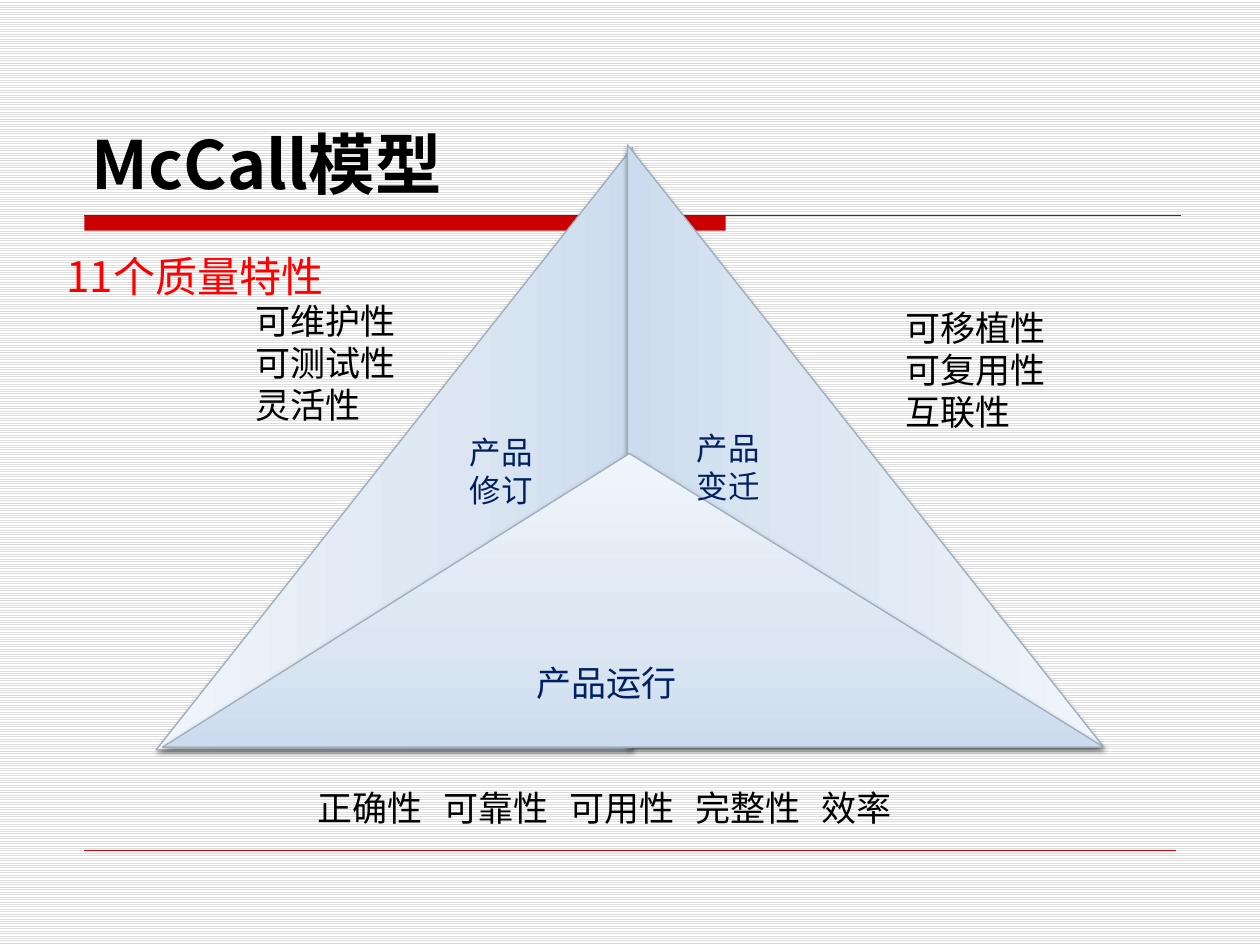
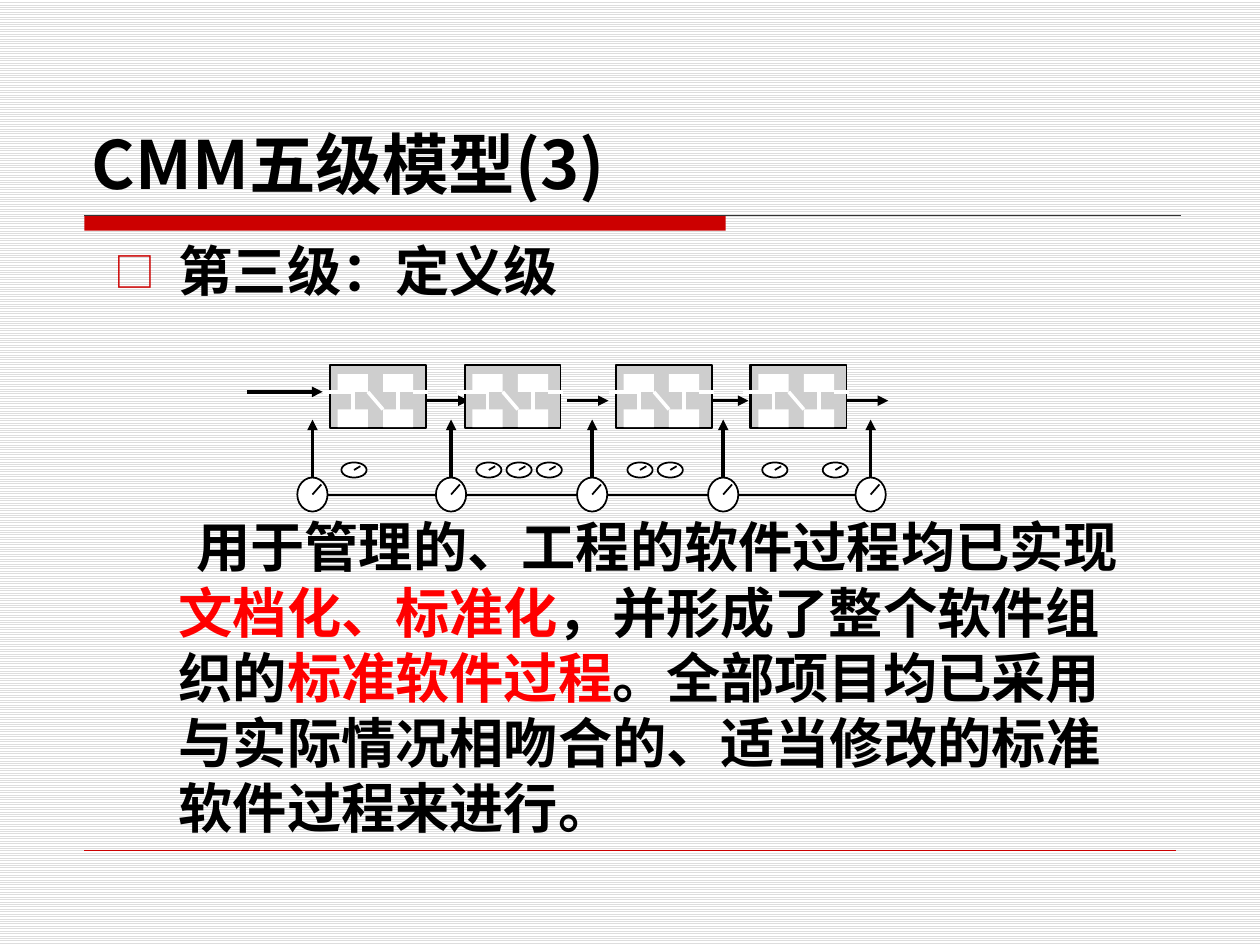
import pptx
import pptx.util
import pptx.dml.color
import pptx.enum.dml
import pptx.enum.shapes
import pptx.enum.text
import pptx.oxml
import pptx.oxml.ns

Inches, Pt = pptx.util.Inches, pptx.util.Pt
SHAPE = pptx.enum.shapes.MSO_SHAPE
ALIGN = pptx.enum.text.PP_ALIGN
ANCHOR = pptx.enum.text.MSO_ANCHOR
qn = pptx.oxml.ns.qn

BLACK, WHITE, RED, BRAND = "000000", "FFFFFF", "FF0000", "CC0000"
NAVY, GREY, STEEL, RULE = "002060", "CECECE", "9FAEBD", "333333"
FADE = [(0, "CCDCEE"), (35, "DBE6F2"), (100, "F0F5FB")]
NOTO, DEJA = "Noto Sans CJK SC", "DejaVu Sans"


def hue(code):
    return pptx.dml.color.RGBColor.from_string(code)


def put(thing, **vals):
    for key, val in vals.items():
        setattr(thing, key, val)


def node(xml):
    space = 'xmlns:a="http://schemas.openxmlformats.org/drawingml/2006/main"'
    return pptx.oxml.parse_xml(xml.replace(" ", f" {space} ", 1))


def style(run, size, color, face, bold=False):
    put(run.font, size=Pt(size), bold=bold, name=face)
    run.font.color.rgb = hue(color)
    run.font._element.find(qn("a:latin")).addnext(node(f'<a:ea typeface="{face}"/>'))


def form(slide, kind, box, fill, edge=None, width=1):
    item = slide.shapes.add_shape(kind, *map(Inches, box))
    item.shadow.inherit = False
    item.fill.solid()
    item.fill.fore_color.rgb = hue(fill)
    if edge:
        item.line.color.rgb = hue(edge)
        item.line.width = Pt(width)
    else:
        item.line.fill.background()
    return item


def line(slide, x1, y1, x2, y2, color=BLACK, width=1, arrow=False):
    item = slide.shapes.add_connector(
        pptx.enum.shapes.MSO_CONNECTOR.STRAIGHT, *map(Inches, (x1, y1, x2, y2)))
    item.line.color.rgb = hue(color)
    item.line.width = Pt(width)
    if arrow:
        item.line._get_or_add_ln().append(node('<a:tailEnd type="triangle"/>'))
    item._element.spPr.append(node('<a:effectLst />'))
    return item


def frame(slide, box):
    text = slide.shapes.add_textbox(*map(Inches, box)).text_frame
    text.word_wrap = True
    return text


def label(slide, box, rows, size, color, face):
    text = frame(slide, box)
    for i, row in enumerate(rows):
        para = text.paragraphs[0] if i == 0 else text.add_paragraph()
        run = para.add_run()
        run.text = row
        style(run, size, color, face)
    return text


def base(deck, name):
    slide = deck.slides.add_slide(deck.slide_layouts[5])
    form(slide, SHAPE.RECTANGLE, (0.67, 1.71, 5.09, 0.12), BRAND)
    line(slide, 0.67, 1.71, 9.37, 1.71, RULE, 0.75)
    line(slide, 0.67, 6.75, 9.33, 6.75, BRAND, 0.25)
    title = slide.shapes.title
    put(title, left=Inches(0.63), top=Inches(0.33), width=Inches(8.75), height=Inches(1.33))
    put(title.text_frame, vertical_anchor=ANCHOR.BOTTOM, word_wrap=True)
    para = title.text_frame.paragraphs[0]
    para.alignment = ALIGN.LEFT
    run = para.add_run()
    run.text = name
    style(run, 38, BLACK, NOTO, True)
    return slide


def facet(slide, kind, box, turn=0, flip=False):
    item = form(slide, kind, box, WHITE, STEEL, 0.75)
    item.rotation = turn
    props = item._element.spPr
    if flip:
        props.find(qn("a:xfrm")).set("flipV", "1")
    stops = "".join(f'<a:gs pos="{at * 1000}"><a:srgbClr val="{code}"/></a:gs>'
                    for at, code in FADE)
    props.replace(props.find(qn("a:solidFill")), node(
        f'<a:gradFill rotWithShape="1"><a:gsLst>{stops}</a:gsLst>'
        '<a:lin ang="16200000" scaled="0"/></a:gradFill>'))
    props.replace(props.find(qn("a:effectLst")), node(
        '<a:effectLst ><a:outerShdw blurRad="39370" dist="20320" dir="5400000" rotWithShape="0">'
        '<a:srgbClr val="000000"><a:alpha val="38000"/></a:srgbClr>'
        '</a:outerShdw></a:effectLst>'))
    return item


def prism(slide, box):
    x, y, w, h = box
    facet(slide, SHAPE.RIGHT_TRIANGLE, (x, y + 0.02, w, h), 270)
    facet(slide, SHAPE.RIGHT_TRIANGLE, (x + 3.74, y, w, h), 270, True)
    front = facet(slide, SHAPE.ISOSCELES_TRIANGLE, (x + 0.55, y + 1.95, 7.47, 2.33))
    front.adjustments[0] = 0.496
    for spot, word, size in [((2.89, 1.74, 0.94, 0.74), "产品修订", 18),
                             ((4.69, 1.71, 0.75, 0.74), "产品变迁", 18),
                             ((3.42, 3.55, 2.06, 0.44), "产品运行", 20)]:
        label(slide, (x + spot[0], y + spot[1], *spot[2:]), [word], size, NAVY, DEJA)


def traits(slide, box):
    x, y, w, h = box
    for left, top, wide, high, rows in [
            (1.5, 0.59, 1.74, 1.41, ["可维护性", "可测试性", "灵活性"]),
            (6.66, 0.64, 1.74, 1.11, ["可移植性", "可复用性", "互联性"]),
            (1.99, 4.45, 4.76, 0.44, ["正确性\t可靠性\t可用性\t完整性\t效率"])]:
        label(slide, (x + left, y + top, wide, high), rows, 20, BLACK, NOTO)
    head = label(slide, (x, y, w, h), ["11个质量特性"], 24, RED, NOTO)
    head.paragraphs[0].line_spacing = 1.5


def gauge(slide, box, hand):
    x, y, w, h = box
    form(slide, SHAPE.OVAL, box, WHITE, BLACK)
    mx, my = x + w / 2, y + h / 2
    line(slide, mx, my, mx + hand[0], my - hand[1])


def block(slide, box):
    x, y, w, h = box
    form(slide, SHAPE.RECTANGLE, box, GREY, BLACK)
    mid, low = y + 0.21, y + 0.35
    for i, left in enumerate((x + 0.06, x + 0.42)):
        top, foot = (form(slide, SHAPE.RECTANGLE, (left, y + drop, 0.24, 0.14), WHITE)
                     for drop in (0.07, 0.35))
        stem = line(slide, left + 0.12, mid, left + 0.12, low, WHITE, 2)
        stem.begin_connect(top, 2)
        stem.end_connect(foot, 0)
        if i == 0:
            entry = line(slide, x - 0.06, mid, left + 0.12, mid, WHITE, 2)
            entry.end_connect(top, 2)
    line(slide, x + 0.3, mid, x + 0.42, low, WHITE, 2)
    line(slide, x + 0.66, mid, x + 0.78, mid, WHITE, 2)


def flow(slide, box):
    x, y, w, h = box
    line(slide, x, y + 0.21, x + 0.6, y + 0.21, width=2, arrow=True)
    for left in (1.43, 2.54, 3.65, 4.76):
        line(slide, x + left, y + 0.28, x + left + 0.33, y + 0.28, width=2, arrow=True)
    dials = [x + step for step in (0.52, 1.62, 2.74, 3.78, 4.95)]
    axle = y + 1.03
    form(slide, SHAPE.RECTANGLE, (x + 3.99, y, 0.76, 0.5), GREY, BLACK)
    for dial in dials:
        line(slide, dial, axle, dial, y + 0.43, width=2, arrow=True)
    line(slide, dials[0], axle, dials[-1], axle)
    for dial in dials:
        gauge(slide, (dial - 0.12, y + 0.89, 0.24, 0.27), (0.07, 0.08))
    for left, slots in [(0.66, (0,)), (1.73, (0, 1, 2)), (2.93, (0, 1)), (4, (0, 2))]:
        block(slide, (x + left, y, 0.76, 0.5))
        for slot in slots:
            gauge(slide, (x + left + 0.09 + 0.24 * slot, y + 0.77, 0.2, 0.12), (0.05, 0.03))


def level(slide, box):
    text = frame(slide, box)
    head, body = text.paragraphs[0], text.add_paragraph()
    for para, indent in ((head, -0.51), (body, 0.14)):
        props = para._p.get_or_add_pPr()
        props.set("marL", str(Inches(0.51)))
        props.set("indent", str(Inches(indent)))
    props = head._p.pPr
    for xml in (f'<a:buClr ><a:srgbClr val="{BRAND}"/></a:buClr>',
                '<a:buSzPct val="75000"/>',
                f'<a:buFont typeface="{NOTO}"/>', '<a:buChar char="□"/>'):
        props.append(node(xml))
    body.space_before = Pt(121)
    for para, words, color in [
            (head, "第三级：定义级", BLACK),
            (body, "用于管理的、工程的软件过程均已实现", BLACK),
            (body, "文档化、标准化", RED),
            (body, "，并形成了整个软件组织的", BLACK),
            (body, "标准软件过程", RED),
            (body, "。全部项目均已采用与实际情况相吻合的、适当修改的标准软件过程来进行。", BLACK)]:
        run = para.add_run()
        run.text = words
        style(run, 31, color, DEJA, True)


def main():
    deck = pptx.Presentation()
    put(deck, slide_width=Inches(10), slide_height=Inches(7.5))
    back = deck.slide_master.background.fill
    back.patterned()
    back.pattern = pptx.enum.dml.MSO_PATTERN.LIGHT_HORIZONTAL
    back.fore_color.rgb = hue("DDDDDD")
    back.back_color.rgb = hue(WHITE)

    slide = base(deck, "McCall模型")
    prism(slide, (0.74, 1.65, 4.78, 3.78))
    traits(slide, (0.43, 1.74, 2.28, 0.64))

    slide = base(deck, "CMM五级模型(3)")
    level(slide, (0.81, 1.83, 8.38, 5.08))
    flow(slide, (1.96, 2.9, 5.09, 1.16))
    deck.save("out.pptx")


if __name__ == "__main__":
    main()
